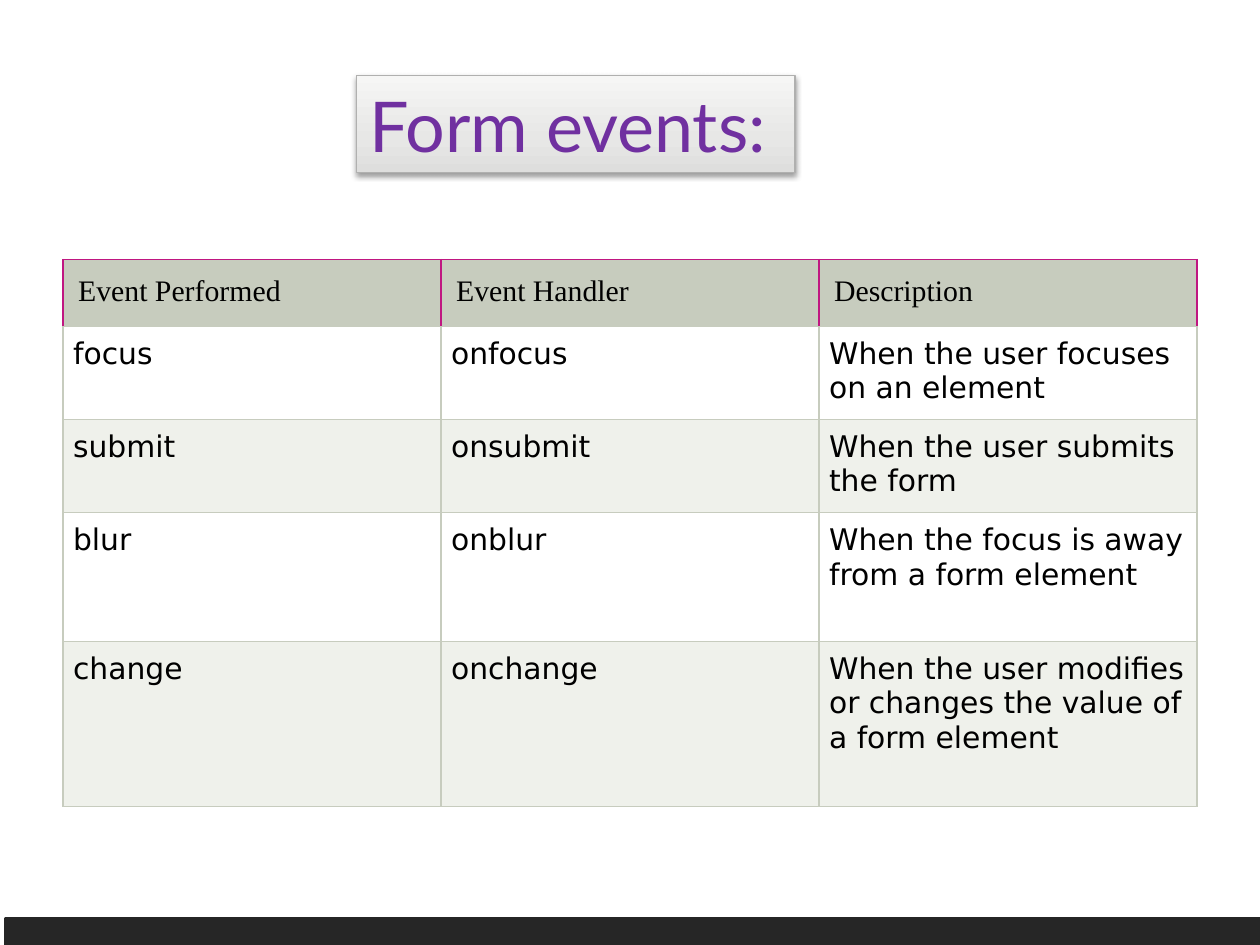
from copy import deepcopy

from pptx import Presentation
from pptx.dml.color import RGBColor as RGB
from pptx.enum.shapes import MSO_SHAPE as Shape
from pptx.enum.text import MSO_ANCHOR as Anchor, MSO_AUTO_SIZE as Fit, PP_ALIGN as Align
from pptx.oxml import parse_xml as to_xml
from pptx.oxml.ns import nsdecls as decls
from pptx.util import Inches, Pt

HUES = {
    "title": "7030A0", "edge": "B0B0AF", "shade": "000000",
    "low": "DEDEDD", "mid": "E7E7E6", "high": "F6F6F5",
    "text": "000000", "head": "C7CCBE", "rule": "C7CCBE", "pink": "C01681",
    "odd": "FFFFFF", "even": "EFF1EB", "bar": "262626",
}

ROWS = [
    ("Event Performed", "Event Handler", "Description"),
    ("focus", "onfocus", "When the user focuses on an element"),
    ("submit", "onsubmit", "When the user submits the form"),
    ("blur", "onblur", "When the focus is away from a form element"),
    ("change", "onchange", "When the user modifies or changes the value of a form element"),
]
HIGHS = [0.53, 0.74, 0.74, 1.02, 1.31]


class Deck:
    def __init__(self, wide, high):
        self.prs = Presentation()
        self.prs.slide_width = Inches(wide)
        self.prs.slide_height = Inches(high)
        self.slide = self.prs.slides.add_slide(self.prs.slide_layouts[5])

    def hue(self, name):
        return RGB.from_string(HUES[name])

    def style(self, frame, font, size, name):
        for para in frame.paragraphs:
            para.alignment = Align.LEFT
            for run in para.runs:
                run.font.name = font
                run.font.size = Pt(size)
                run.font.color.rgb = self.hue(name)

    def outline(self, shape, name, width):
        shape.line.color.rgb = self.hue(name)
        shape.line.width = Pt(width)

    def blend(self, fill, stops):
        fill.gradient()
        fill.gradient_angle = 90
        first = fill.gradient_stops[0]._gs
        first.addnext(deepcopy(first))
        for stop, (place, name) in zip(fill.gradient_stops, stops):
            stop.position = place
            stop.color.rgb = self.hue(name)

    def shade(self, shape):
        shape._element.spPr.append(to_xml(
            f'<a:effectLst {decls("a")}><a:outerShdw blurRad="{Pt(3.1)}" dist="{Pt(1.6)}" '
            f'dir="5400000" rotWithShape="0"><a:srgbClr val="{HUES["shade"]}">'
            '<a:alpha val="38000"/></a:srgbClr></a:outerShdw></a:effectLst>'))

    def title(self, text, left, top, wide, high):
        box = self.slide.shapes.title
        box.left, box.top = Inches(left), Inches(top)
        box.width, box.height = Inches(wide), Inches(high)
        self.blend(box.fill, [(0, "low"), (0.35, "mid"), (1, "high")])
        self.outline(box, "edge", 0.75)
        self.shade(box)
        frame = box.text_frame
        frame.text = text
        frame.word_wrap = True
        frame.auto_size = Fit.NONE
        frame.vertical_anchor = Anchor.MIDDLE
        self.style(frame, "Lato", 40, "title")

    def border(self, cell, sides):
        props = cell._tc.get_or_add_tcPr()
        for side, name in sides.items():
            props.append(to_xml(
                f'<a:ln{side} {decls("a")} w="{Pt(0.75)}"><a:solidFill>'
                f'<a:srgbClr val="{HUES[name]}"/></a:solidFill></a:ln{side}>'))

    def cell(self, cell, text, row):
        head = row == 0
        pad = Inches(0.12 if head else 0.08)
        cell.margin_left = cell.margin_right = pad
        cell.margin_top = cell.margin_bottom = pad
        side = "pink" if head else "rule"
        self.border(cell, {"L": side, "R": side, "T": side, "B": "rule"})
        cell.fill.solid()
        cell.fill.fore_color.rgb = self.hue("head" if head else "odd" if row % 2 else "even")
        cell.text_frame.text = text
        self.style(cell.text_frame, "Times New Roman" if head else "DejaVu Sans", 17, "text")

    def table(self, rows, highs, left, top, wide):
        grid = self.slide.shapes.add_table(
            len(rows), len(rows[0]), Inches(left), Inches(top),
            Inches(wide), Inches(sum(highs))).table
        for row, (texts, high) in enumerate(zip(rows, highs)):
            grid.rows[row].height = Inches(high)
            for col, text in enumerate(texts):
                self.cell(grid.cell(row, col), text, row)

    def bar(self, left, top, wide, high):
        shape = self.slide.shapes.add_shape(
            Shape.RECTANGLE, Inches(left), Inches(top), Inches(wide), Inches(high))
        shape.shadow.inherit = False
        shape.fill.solid()
        shape.fill.fore_color.rgb = self.hue("bar")
        self.outline(shape, "bar", 2)


def main():
    deck = Deck(10, 7.5)
    deck.title("Form events:", 2.83, 0.6, 3.48, 0.77)
    deck.table(ROWS, HIGHS, 0.5, 2.06, 9)
    deck.bar(0.05, 7.29, 10, 0.42)
    deck.prs.save("out.pptx")


if __name__ == "__main__":
    main()
